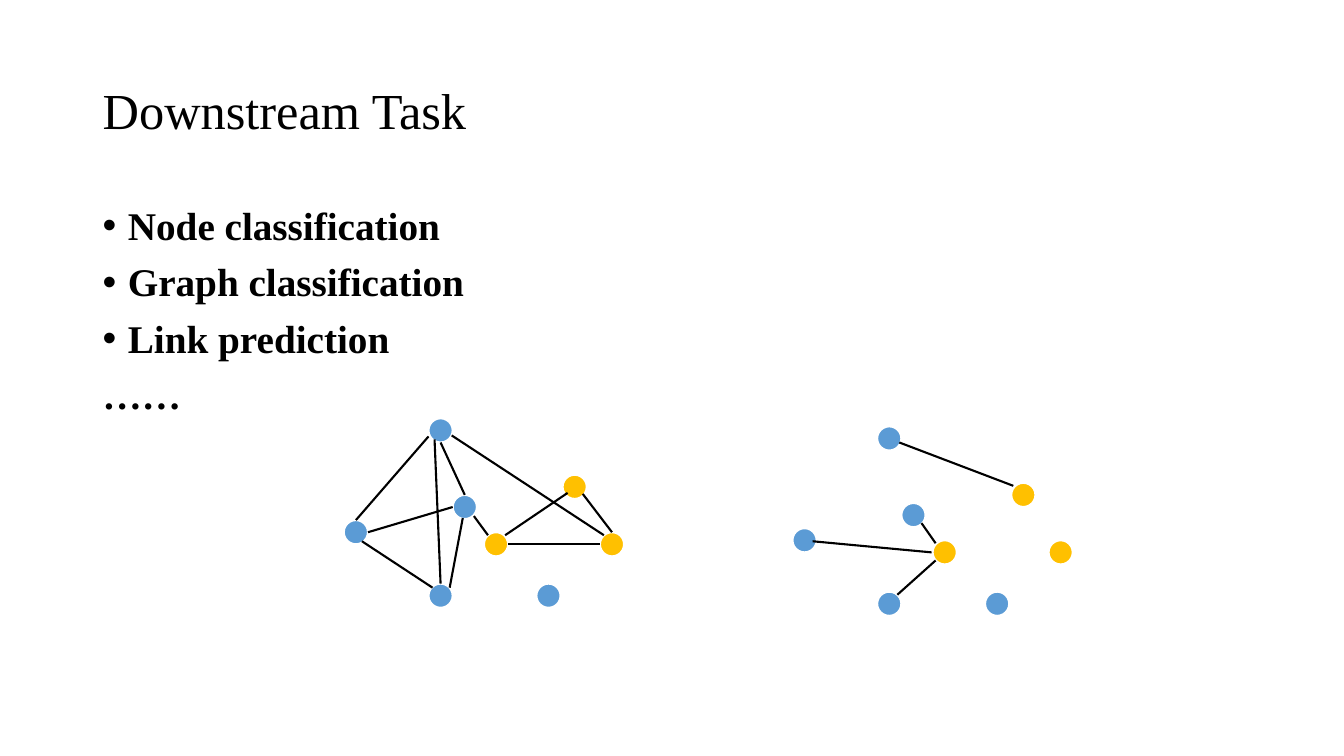
from lxml import etree
from pptx import Presentation
from pptx import util as u
from pptx.dml.color import RGBColor
from pptx.enum import shapes, text
from pptx.oxml.ns import qn

SCALE = 9144
NODE_SIZE = 24
FONT = "Times New Roman"
BLACK, WHITE, BLUE, GOLD = "000000", "FFFFFF", "5B9BD5", "FFC000"

BLUE_NODES = [(449, 491), (341, 516), (425, 579), (532, 579), (425, 415)]
GOLD_NODES = [(558, 471), (595, 528), (480, 528)]
SECOND_GRAPH_SHIFT = (445, 8)

FIRST_EDGES = [
    (437, 439, 461, 491),
    (449, 503, 365, 528),
    (470, 512, 484, 531),
    (563, 489, 501, 531),
    (504, 540, 595, 540),
    (578, 490, 607, 528),
    (425, 433, 353, 516),
    (359, 537, 429, 583),
    (431, 436, 437, 579),
    (459, 514, 446, 583),
    (448, 432, 599, 531),
]
SECOND_EDGES = [
    (914, 519, 928, 539),
    (892, 439, 1005, 482),
    (806, 537, 924, 548),
    (890, 590, 928, 556),
]


def px(*lengths):
    return [u.Emu(length * SCALE) for length in lengths]


def colour(value):
    return RGBColor.from_string(value)


def apply(target, values):
    for name, value in values.items():
        setattr(target, name, value)


def add_bullet(para):
    properties = para._p.get_or_add_pPr()
    indent = px(25)[0]
    properties.set("marL", str(indent))
    properties.set("indent", str(-indent))
    font = etree.SubElement(properties, qn("a:buFont"))
    font.set("typeface", "Arial")
    etree.SubElement(properties, qn("a:buChar")).set("char", "•")


def add_text(page, place, lines, size, bold=False, anchor=text.MSO_ANCHOR.TOP,
             space=0, bullets=0):
    box = page.shapes.add_textbox(*px(*place))
    frame = box.text_frame
    apply(frame, {"word_wrap": True, "vertical_anchor": anchor})
    for index, line in enumerate(lines):
        para = frame.add_paragraph() if index else frame.paragraphs[0]
        apply(para, {"line_spacing": 0.9, "space_before": u.Pt(space)})
        if index < bullets:
            add_bullet(para)
        span = para.add_run()
        span.text = line
        apply(span.font, {"name": FONT, "size": u.Pt(size), "bold": bold})
        span.font.color.rgb = colour(BLACK)


def set_line(line, value):
    line.color.rgb = colour(value)
    line.width = u.Pt(1.5)


def add_node(page, left, top, fill):
    node = page.shapes.add_shape(
        shapes.MSO_SHAPE.OVAL, *px(left, top, NODE_SIZE, NODE_SIZE))
    node.shadow.inherit = False
    node.fill.solid()
    node.fill.fore_color.rgb = colour(fill)
    set_line(node.line, WHITE)


def add_edge(page, ends):
    edge = page.shapes.add_connector(shapes.MSO_CONNECTOR.STRAIGHT, *px(*ends))
    set_line(edge.line, BLACK)
    etree.SubElement(edge._element.spPr, qn("a:effectLst"))


def add_graph(page, edges, shift=(0, 0)):
    for fill, nodes in ((BLUE, BLUE_NODES), (GOLD, GOLD_NODES)):
        for left, top in nodes:
            add_node(page, left + shift[0], top + shift[1], fill)
    for ends in edges:
        add_edge(page, ends)


def main():
    deck = Presentation()
    deck.slide_width, deck.slide_height = px(1333, 750)
    page = deck.slides.add_slide(deck.slide_layouts[6])
    add_text(page, (92, 40, 1150, 145), ["Downstream Task"], 36,
             anchor=text.MSO_ANCHOR.MIDDLE)
    tasks = ["Node classification", "Graph classification", "Link prediction", "……"]
    add_text(page, (92, 200, 1150, 476), tasks, 28, bold=True, space=10, bullets=3)
    add_graph(page, FIRST_EDGES)
    add_graph(page, SECOND_EDGES, SECOND_GRAPH_SHIFT)
    deck.save("out.pptx")


if __name__ == "__main__":
    main()
